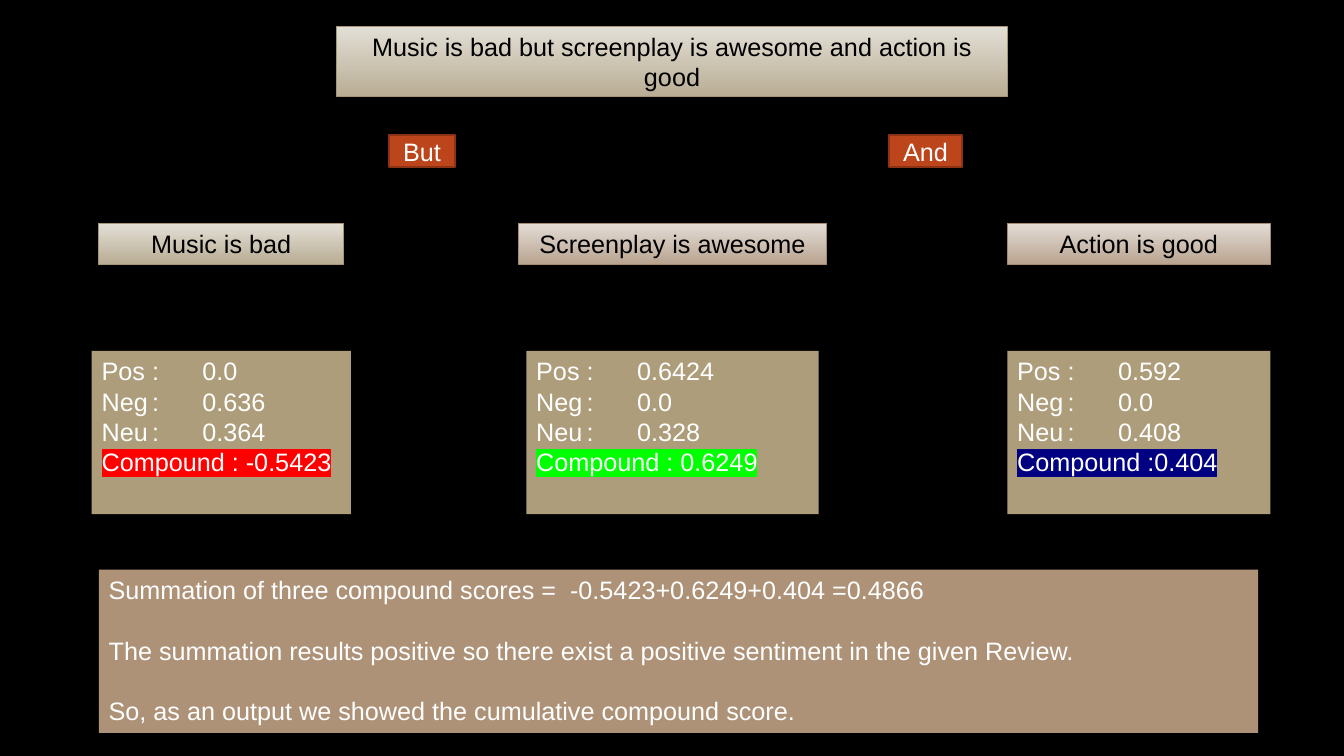
from lxml import etree
from pptx import Presentation
from pptx.dml.color import RGBColor
from pptx.enum.shapes import MSO_SHAPE
from pptx.enum.text import MSO_ANCHOR, MSO_AUTO_SIZE, PP_ALIGN
from pptx.oxml.ns import qn
from pptx.util import Inches, Pt

RECT = MSO_SHAPE.RECTANGLE
TOP, MIDDLE = MSO_ANCHOR.TOP, MSO_ANCHOR.MIDDLE
LEFT, CENTER = PP_ALIGN.LEFT, PP_ALIGN.CENTER
NO_FIT = MSO_AUTO_SIZE.NONE

COLORS = {
    "background": "000000", "dark": "000000", "light": "FFFFFF",
    "word": "BC451B", "word_line": "8B3314",
    "scores": "AD9D7B", "summary": "AD9277",
    "red": "FF0000", "green": "00FF00", "navy": "000080",
}
# Gradient top, gradient bottom, outline
SAND = ("E3DFD6", "B9AD94", "A59675")
CLAY = ("E3DCD5", "B9A491", "A58B72")

REVIEW = "Music is bad but screenplay is awesome and action is good"
CONJUNCTIONS = [("But", 3.86, 0.65), ("And", 8.82, 0.72)]
# Clause, palette, (left, width) of clause, (left, width) of scores,
# Pos / Neg / Neu, compound line, its highlight
CLAUSES = [
    ("Music is bad", SAND, (0.98, 2.43), (0.91, 2.57),
     ("0.0", "0.636", "0.364"), "Compound : -0.5423", "red"),
    ("Screenplay is awesome", CLAY, (5.14, 3.06), (5.22, 2.9),
     ("0.6424", "0.0", "0.328"), "Compound : 0.6249", "green"),
    ("Action is good", CLAY, (9.99, 2.61), (9.99, 2.61),
     ("0.592", "0.0", "0.408"), "Compound :0.404", "navy"),
]
SUMMARY = [
    "Summation of three compound scores =  -0.5423+0.6249+0.404 =0.4866",
    "The summation results positive so there exist a positive sentiment in the given Review.",
    "So, as an output we showed the cumulative compound score.",
]
SCORE_TABS = (0.5, 1.0)


def rgb(name):
    return RGBColor.from_string(COLORS[name])


def write(sp, lines, color, align=LEFT, anchor=TOP):
    tf = sp.text_frame
    tf.text = "\n".join(lines)
    tf.word_wrap = True
    tf.auto_size = NO_FIT
    tf.vertical_anchor = anchor
    tf.margin_left = tf.margin_right = Inches(0.1)
    tf.margin_top = tf.margin_bottom = Inches(0.05)
    for p in tf.paragraphs:
        p.alignment = align
        for r in p.runs:
            r.font.size = Pt(18)
            r.font.name = "Arial"
            r.font.color.rgb = rgb(color)
    return tf.paragraphs


def add_box(left, top, width, height, fill):
    sp = slide.shapes.add_shape(RECT, Inches(left), Inches(top), Inches(width), Inches(height))
    sp.shadow.inherit = False
    sp.fill.solid()
    sp.fill.fore_color.rgb = rgb(fill)
    sp.line.fill.background()
    return sp


def shade(sp, palette):
    """Fill with a top-to-bottom gradient and a thin outline."""
    *ends, outline = palette
    sp.fill.gradient()
    sp.fill.gradient_angle = 270
    for stop, color in zip(sp.fill.gradient_stops, ends):
        stop.color.rgb = RGBColor.from_string(color)
    sp.line.color.rgb = RGBColor.from_string(outline)
    sp.line.width = Pt(0.75)


def set_tabs(p, stops):
    tabs = etree.SubElement(p._p.get_or_add_pPr(), qn("a:tabLst"))
    for stop in stops:
        etree.SubElement(tabs, qn("a:tab"), pos=str(Inches(stop)), algn="l")


def highlight(r, color):
    mark = etree.Element(qn("a:highlight"))
    etree.SubElement(mark, qn("a:srgbClr"), val=COLORS[color])
    r._r.rPr.find(qn("a:latin")).addprevious(mark)


prs = Presentation()
prs.slide_width, prs.slide_height = Inches(13.33), Inches(7.5)
slide = prs.slides.add_slide(prs.slide_layouts[5])
slide.background.fill.solid()
slide.background.fill.fore_color.rgb = rgb("background")

title = slide.shapes.title
title.left, title.top = Inches(3.34), Inches(0.26)
title.width, title.height = Inches(6.65), Inches(0.7)
shade(title, SAND)
write(title, [REVIEW], "dark", CENTER, MIDDLE)

for word, left, width in CONJUNCTIONS:
    sp = add_box(left, 1.34, width, 0.32, "word")
    sp.line.color.rgb = rgb("word_line")
    sp.line.width = Pt(1.25)
    write(sp, [word], "light", CENTER, MIDDLE)

for clause, palette, (left, width), scores_at, scores, compound, mark in CLAUSES:
    sp = add_box(left, 2.22, width, 0.4, "scores")
    shade(sp, palette)
    write(sp, [clause], "dark", CENTER, MIDDLE)

    sp = add_box(scores_at[0], 3.48, scores_at[1], 1.62, "scores")
    lines = [f"{name}\t:\t{score}" for name, score in zip(("Pos", "Neg", "Neu"), scores)]
    *score_lines, total = write(sp, lines + [compound], "light")
    for p in score_lines:
        set_tabs(p, SCORE_TABS)
    highlight(total.runs[0], mark)

sp = add_box(0.98, 5.65, 11.5, 1.62, "summary")
for p in write(sp, SUMMARY, "light")[1:]:
    p.space_before = Pt(21.6)

prs.save("out.pptx")
